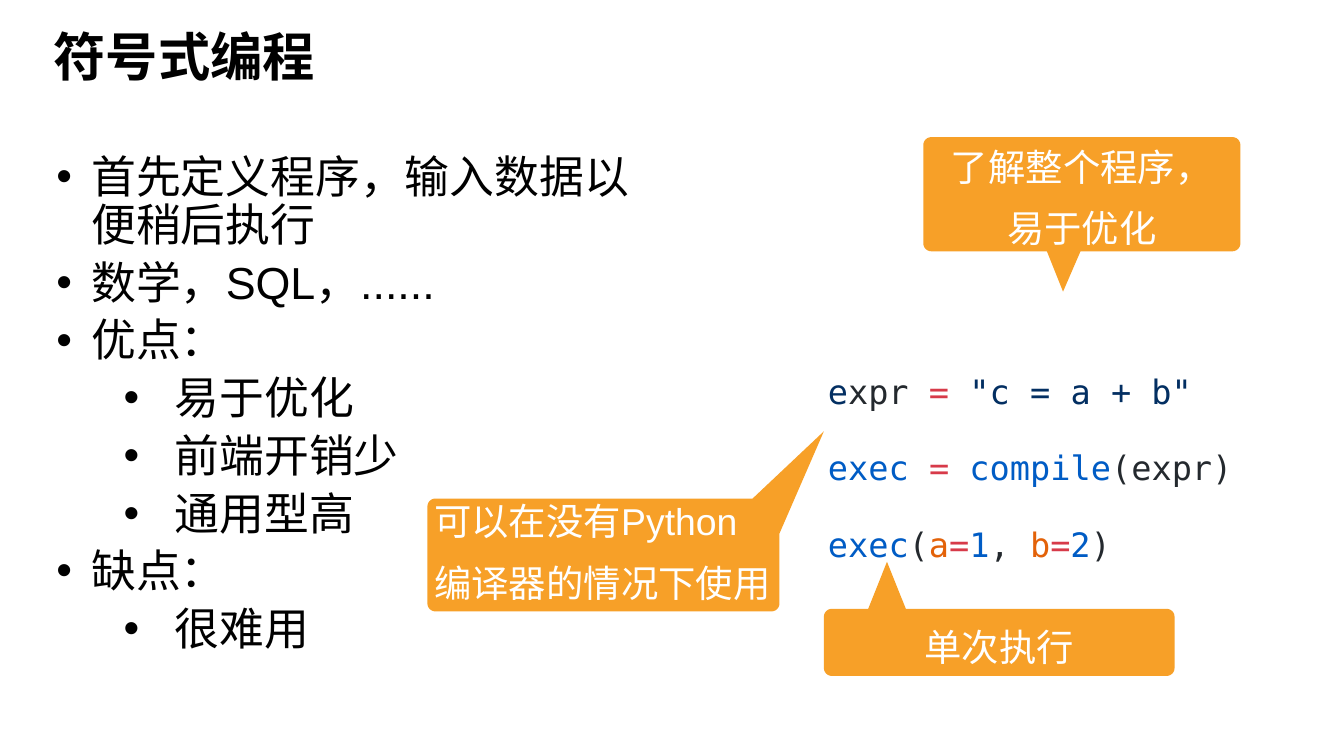
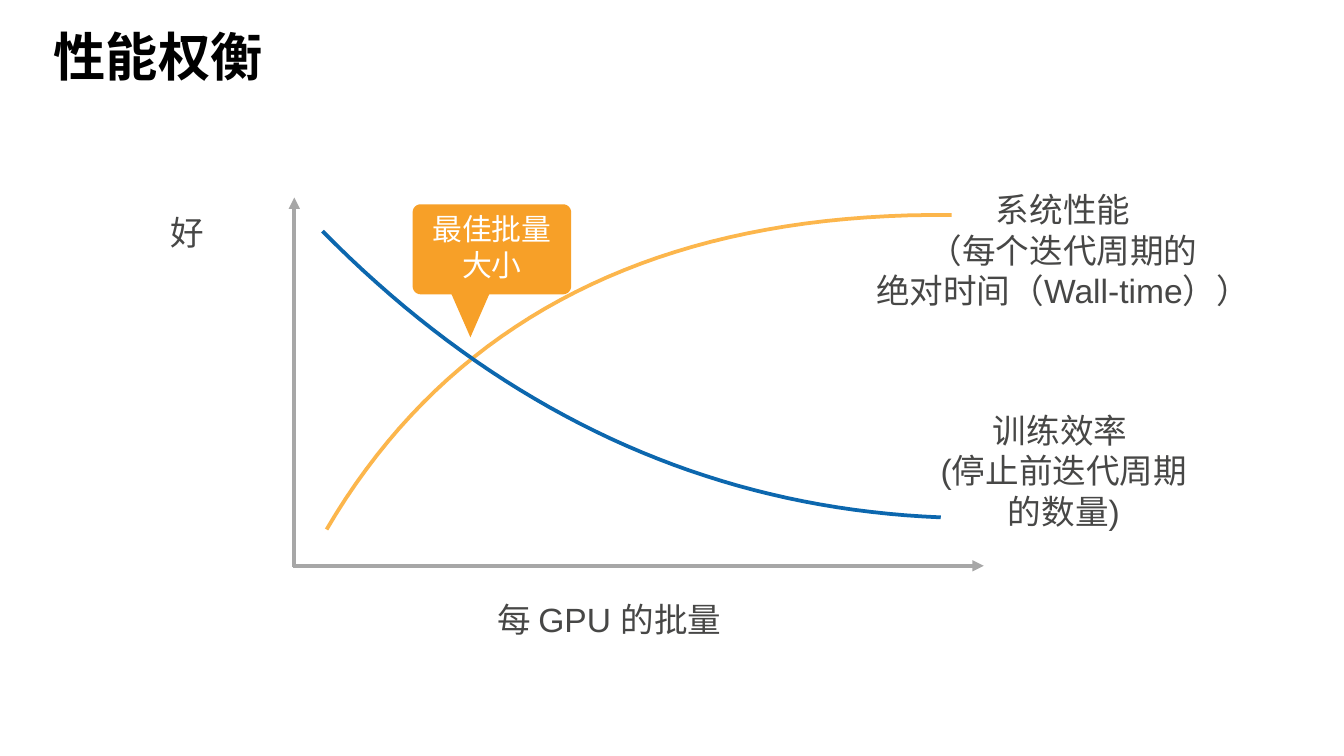
"""Build two slides on symbolic programming and the batch size trade-off."""
from math import cos, radians, sin

from lxml import etree
from pptx import Presentation
from pptx.dml.color import RGBColor
from pptx.enum.shapes import MSO_CONNECTOR
from pptx.enum.text import MSO_ANCHOR, MSO_AUTO_SIZE, PP_ALIGN
from pptx.oxml.ns import qn
from pptx.util import Pt

PX = 9144
WIDE = 1000 * PX
TOP, BASE = MSO_ANCHOR.TOP, MSO_ANCHOR.BOTTOM
LEFT, MID = PP_ALIGN.LEFT, PP_ALIGN.CENTER
FIXED = MSO_AUTO_SIZE.NONE
LINE = MSO_CONNECTOR.STRAIGHT
hue = RGBColor.from_string
SANS, MONO = "Arial", "DejaVu Sans Mono"
BLACK, WHITE, GRAY, AXIS = "000000", "FFFFFF", "474746", "A7A7A7"
ORANGE, AMBER, BLUE = "F7A028", "FCB64C", "0C67AE"
NAVY, INK, RED, AZURE, RUST = "032F62", "24292E", "D73A49", "005CC5", "E36209"


def write(frame, rows, size, tint, para, face=SANS, bold=False, anchor=TOP):
    """Fill a text frame with rows of plain text or of coloured runs."""
    form = dict(word_wrap=True, auto_size=FIXED, vertical_anchor=anchor)
    for side in ("left", "top", "right", "bottom"):
        form["margin_" + side] = 5 * PX
    for key, val in form.items():
        setattr(frame, key, val)
    for num, row in enumerate(rows):
        par = frame.add_paragraph() if num else frame.paragraphs[0]
        for key, val in para.items():
            setattr(par, key, val)
        if not num:
            par.space_before = Pt(0)
        for text, shade in [(row, tint)] if isinstance(row, str) else row:
            run = par.add_run()
            run.text = text
            for key, val in dict(name=face, size=Pt(size), bold=bold).items():
                setattr(run.font, key, val)
            run.font.color.rgb = hue(shade)


def draw(slide, spots, close):
    """Draw an outline through the given px points."""
    ends = [(x * PX, y * PX) for x, y in spots]
    pen = slide.shapes.build_freeform(*ends[0])
    pen.add_line_segments(ends[1:], close=close)
    shape = pen.convert_to_shape()
    shape.shadow.inherit = False
    return shape


deck = Presentation()
deck.slide_width, deck.slide_height = WIDE, WIDE * 9 // 16
slides = []
for name, plan in (("符号式编程", 1), ("性能权衡", 5)):
    slide = deck.slides.add_slide(deck.slide_layouts[plan])
    head = slide.shapes.title
    place = dict(left=35, top=13, width=897, height=60)
    for key, val in place.items():
        setattr(head, key, val * PX)
    write(head.text_frame, [name], 28, BLACK, dict(alignment=LEFT), bold=True)
    slides.append(slide)
code, trade = slides

points = [
    (0, "首先定义程序，输入数据以便稍后执行"),
    (0, "数学，SQL，......"),
    (0, "优点："),
    (1, "易于优化"),
    (1, "前端开销少"),
    (1, "通用型高"),
    (0, "缺点："),
    (1, "很难用"),
]
body = code.placeholders[1]
for key, val in dict(left=37, top=110, width=468, height=389).items():
    setattr(body, key, val * PX)
para = dict(line_spacing=0.9, space_before=Pt(5))
write(body.text_frame, [text for _, text in points], 24, BLACK, para)
for par, (level, _) in zip(body.text_frame.paragraphs, points):
    par.level = level
    edge, hang = ((26, 26), (88, 38))[level]
    props = par._p.get_or_add_pPr()
    props.set("marL", str(edge * PX))
    props.set("indent", str(-hang * PX))
    etree.SubElement(props, qn("a:buChar")).set("char", "•")

lines = [
    [("e", NAVY), ("xpr ", INK), ("= ", RED), ('"c = a + b"', NAVY)],
    [("exec ", AZURE), ("= ", RED), ("compile", AZURE), ("(expr)", INK)],
    [("exec", AZURE), ("(", INK), ("a", RUST), ("=", RED), ("1", AZURE),
     (", ", INK), ("b", RUST), ("=", RED), ("2", AZURE), (")", INK)],
]
box = code.shapes.add_textbox(*(n * PX for n in (611, 244, 327, 181)))
write(box.text_frame, lines, 18, INK, dict(line_spacing=Pt(41)), MONO)

axes = [((219, 422), (219, 147)), ((218, 421), (732, 421))]
for start, end in axes:
    axis = trade.shapes.add_connector(LINE, *(n * PX for n in start + end))
    axis.line.color.rgb = hue(AXIS)
    axis.line.width = Pt(2)
    tip = etree.SubElement(axis.line._get_or_add_ln(), qn("a:tailEnd"))
    tip.set("type", "triangle")
    etree.SubElement(axis._element.spPr, qn("a:effectLst"))

curves = [
    (AMBER, [(243, 394), (335, 237), (490, 158), (708, 160)]),
    (BLUE, [(240, 172), (373, 307), (526, 378), (700, 385)]),
]
STEPS = 40
for tint, knots in curves:
    spots = []
    for step in range(STEPS + 1):
        t = step / STEPS
        mix = ((1 - t) ** 3, 3 * t * (1 - t) ** 2, 3 * t * t * (1 - t), t ** 3)
        spots.append([sum(m * n for m, n in zip(mix, axis))
                      for axis in zip(*knots)])
    curve = draw(trade, spots, False)
    curve.fill.background()
    curve.line.color.rgb = hue(tint)
    curve.line.width = Pt(2)

labels = [
    ((365, 441, 187, 40), LEFT, ["每 GPU 的批量"]),
    ((122, 153, 35, 40), LEFT, ["好"]),
    ((643, 136, 296, 101), MID,
     ["系统性能", "（每个迭代周期的", "绝对时间（Wall-time））"]),
    ((664, 300, 255, 101), MID, ["训练效率 ", "(停止前迭代周期", "的数量)"]),
]
for place, align, rows in labels:
    box = trade.shapes.add_textbox(*(n * PX for n in place))
    write(box.text_frame, rows, 18, GRAY, dict(alignment=align))

calls = [
    (code, (687, 102, 923, 187), 5, [(804, 187), (791, 217), (779, 187)],
     ["了解整个程序，", "易于优化"], 20, MID, TOP),
    (code, (318, 371, 580, 455), 2, [(560, 371), (613, 321), (580, 397)],
     ["可以在没有Python", "编译器的情况下使用"], 20, LEFT, BASE),
    (code, (613, 453, 874, 503), 1, [(646, 453), (660, 418), (674, 453)],
     ["单次执行"], 20, MID, BASE),
    (trade, (307, 152, 425, 219), 5, [(364, 219), (350, 251), (336, 219)],
     ["最佳批量大小"], 16, MID, TOP),
]
RAD = 6
for slide, (x1, y1, x2, y2), slot, tail, rows, size, align, anchor in calls:
    hubs = [(x1 + RAD, y1 + RAD), (x2 - RAD, y1 + RAD),
            (x2 - RAD, y2 - RAD), (x1 + RAD, y2 - RAD)]
    parts = []
    for turn, (x, y) in enumerate(hubs):
        angles = [radians(180 + 90 * turn + 15 * n) for n in range(7)]
        parts += [[(x + RAD * cos(a), y + RAD * sin(a)) for a in angles], []]
    parts[slot] = tail
    call = draw(slide, sum(parts, []), True)
    call.fill.solid()
    call.fill.fore_color.rgb = hue(ORANGE)
    call.line.fill.background()
    para = dict(alignment=align, space_before=Pt(9))
    write(call.text_frame, rows, size, WHITE, para, anchor=anchor)

deck.save("out.pptx")
